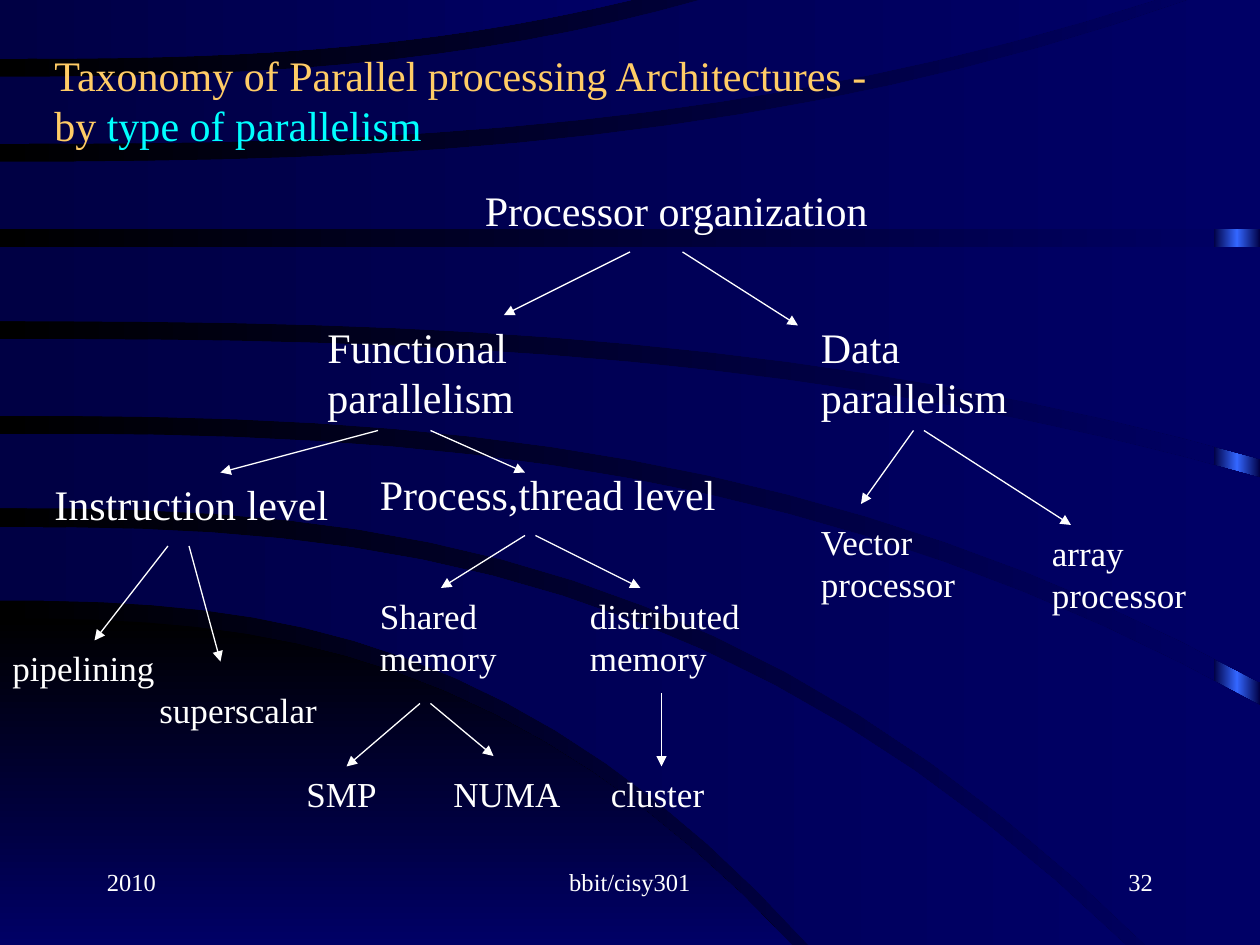
from copy import deepcopy

from lxml.etree import SubElement
from pptx import Presentation
from pptx.dml.color import RGBColor
from pptx.enum.shapes import MSO_CONNECTOR as Connector, MSO_SHAPE as Shape
from pptx.enum.text import MSO_ANCHOR as Anchor, MSO_AUTO_SIZE as AutoSize, PP_ALIGN as Align
from pptx.oxml.ns import qn
from pptx.util import Cm, Pt

WHITE, GOLD, CYAN = "FFFFFF", "FFCC66", "00FFFF"
BLACK, NAVY, DEEP, BRIGHT = "000000", "000066", "000044", "3366FF"

# The slide is a grid of 120 by 90 units
WIDTH, HEIGHT = 120, 90

# Each band lies between two edges: y at the left side, then the end point
HILL = (58.9, 75.4, 90), (90, 75.4, 90)
BANDS = [
    ((50.2, 107.2, 90), (57.2, 77, 90)),
    ((41.3, 120, 67.2), (48.4, 109.1, 90)),
    ((32.3, 120, 45.5), (39.6, 120, 65)),
    ((23.5, 120, 23.5), (30.6, 120, 43.7)),
    ((15.4, 113.2, 0), (21.8, 120, 21.8)),
    ((7.3, 66.7, 0), (13.7, 110, 0)),
    ((0, 60.1, 0), (5.6, 60.1, 0)),
]

# Tree labels by font size and line count: text, left, top, width
LABELS = {
    (24, 1): [("Processor organization", 45, 17, 40),
              ("Process,thread level", 35, 44, 36),
              ("Instruction level", 4, 45, 29)],
    (24, 2): [("Functional parallelism", 30, 30, 22),
              ("Data parallelism", 77, 30, 21)],
    (20, 2): [("Vector processor", 77, 49, 17),
              ("array processor", 99, 50, 17),
              ("Shared memory", 35, 56, 17),
              ("distributed memory", 55, 56, 17)],
    (20, 1): [("pipelining", 0, 61, 18),
              ("superscalar", 14, 65, 18),
              ("SMP", 28, 73, 10),
              ("NUMA", 42, 73, 13),
              ("cluster", 57, 73, 13)],
}

# Arrows by the height they start from: start x, end x, end y
ARROWS = {
    24: [(60, 48, 30), (65, 76, 31)],
    41: [(36, 21, 45), (41, 50, 45), (87, 82, 48), (88, 102, 50)],
    51: [(50, 42, 56), (51, 61, 56)],
    52: [(16, 9, 61), (18, 21, 63)],
    66: [(63, 63, 73)],
    67: [(40, 33, 73), (41, 47, 72)],
}


def grid(units):
    return Cm(units * 25.4 / WIDTH)


def colour(code):
    return RGBColor.from_string(code)


def edge_points(start_y, end_x, end_y, steps=16, power=2.6):
    """Points of an edge that leaves the left side level and bends to its end."""
    shares = [step / steps for step in range(steps + 1)]
    return [(end_x * share, start_y + (end_y - start_y) * share ** power)
            for share in shares]


def write_text(paragraph, text, *, size, font, fill=WHITE, align=Align.LEFT):
    paragraph.alignment = align
    for index, line in enumerate(text.split("\n")):
        if index:
            paragraph.add_line_break()
        run = paragraph.add_run()
        run.text = line
        run.font.size = Pt(size)
        run.font.name = font
        run.font.color.rgb = colour(fill)


def paint_gradient(fill, codes, angle=0):
    fill.gradient()
    fill.gradient_angle = angle
    first = fill.gradient_stops[0]._gs
    for _ in codes[2:]:
        first.addnext(deepcopy(first))
    for index, (stop, code) in enumerate(zip(fill.gradient_stops, codes)):
        stop.position = index / (len(codes) - 1)
        stop.color.rgb = colour(code)


class TaxonomySlide:
    font = "Times New Roman"

    def __init__(self, presentation):
        self.slide = presentation.slides.add_slide(presentation.slide_layouts[6])
        self.shapes = self.slide.shapes
        paint_gradient(self.slide.background.fill, (BLACK, NAVY))

    def decorate(self, shape, codes, angle=0):
        shape.shadow.inherit = False
        shape.line.fill.background()
        paint_gradient(shape.fill, codes, angle)

    def bar(self, left, top, width, height, codes):
        box = [grid(value) for value in (left, top, width, height)]
        self.decorate(self.shapes.add_shape(Shape.RECTANGLE, *box), codes)

    def band(self, upper, lower, codes, angle=0):
        top, bottom = edge_points(*upper), edge_points(*lower)
        shorter = min(top[-1], bottom[-1])
        corner = max(top[-1], bottom[-1])[0], shorter[1]
        outline = top + [corner] + bottom[::-1]
        start, *rest = [(grid(x), grid(y)) for x, y in outline]
        builder = self.shapes.build_freeform(*start)
        builder.add_line_segments(rest)
        self.decorate(builder.convert_to_shape(), codes, angle)

    def text(self, left, top, width, height, *parts, size, align=Align.LEFT,
             anchor=Anchor.TOP, fit=AutoSize.NONE):
        box = [grid(value) for value in (left, top, width, height)]
        frame = self.shapes.add_textbox(*box).text_frame
        frame.word_wrap = True
        frame.auto_size = fit
        frame.vertical_anchor = anchor
        for text, fill in parts:
            write_text(frame.paragraphs[0], text, size=size, font=self.font,
                       fill=fill, align=align)

    def label(self, text, left, top, width, size, lines):
        height = lines * size / 5 + 1.2
        self.text(left, top, width, height, (text, WHITE), size=size,
                  fit=AutoSize.SHAPE_TO_FIT_TEXT)

    def arrow(self, *ends):
        connector = self.shapes.add_connector(Connector.STRAIGHT, *map(grid, ends))
        connector.line.color.rgb = colour(WHITE)
        connector.line.width = Pt(0.75)
        SubElement(connector.line._get_or_add_ln(), qn("a:tailEnd"), type="triangle")
        SubElement(connector._element.spPr, qn("a:effectLst"))


def main():
    presentation = Presentation()
    presentation.slide_width, presentation.slide_height = grid(WIDTH), grid(HEIGHT)
    page = TaxonomySlide(presentation)

    # Backdrop
    page.bar(115.6, 0, 4.4, HEIGHT, (DEEP, BRIGHT, DEEP))
    page.band(*HILL, (BLACK, NAVY), angle=270)
    for edges in BANDS:
        page.band(*edges, (DEEP, NAVY))

    # Title
    page.text(4, 4, 113, 11,
              ("Taxonomy of Parallel processing Architectures - \nby", GOLD),
              (" type of parallelism", CYAN), size=24, anchor=Anchor.MIDDLE)

    # Tree
    for style, labels in LABELS.items():
        for label in labels:
            page.label(*label, *style)
    for start_y, arrows in ARROWS.items():
        for start_x, end_x, end_y in arrows:
            page.arrow(start_x, start_y, end_x, end_y)

    # Footer
    for text, left, width, align in (("2010", 9, 25, Align.LEFT),
                                     ("bbit/cisy301", 41, 38, Align.CENTER),
                                     ("32", 86, 25, Align.RIGHT)):
        page.text(left, 82, width, 6, (text, WHITE), size=14, align=align)

    presentation.save("out.pptx")


if __name__ == "__main__":
    main()
